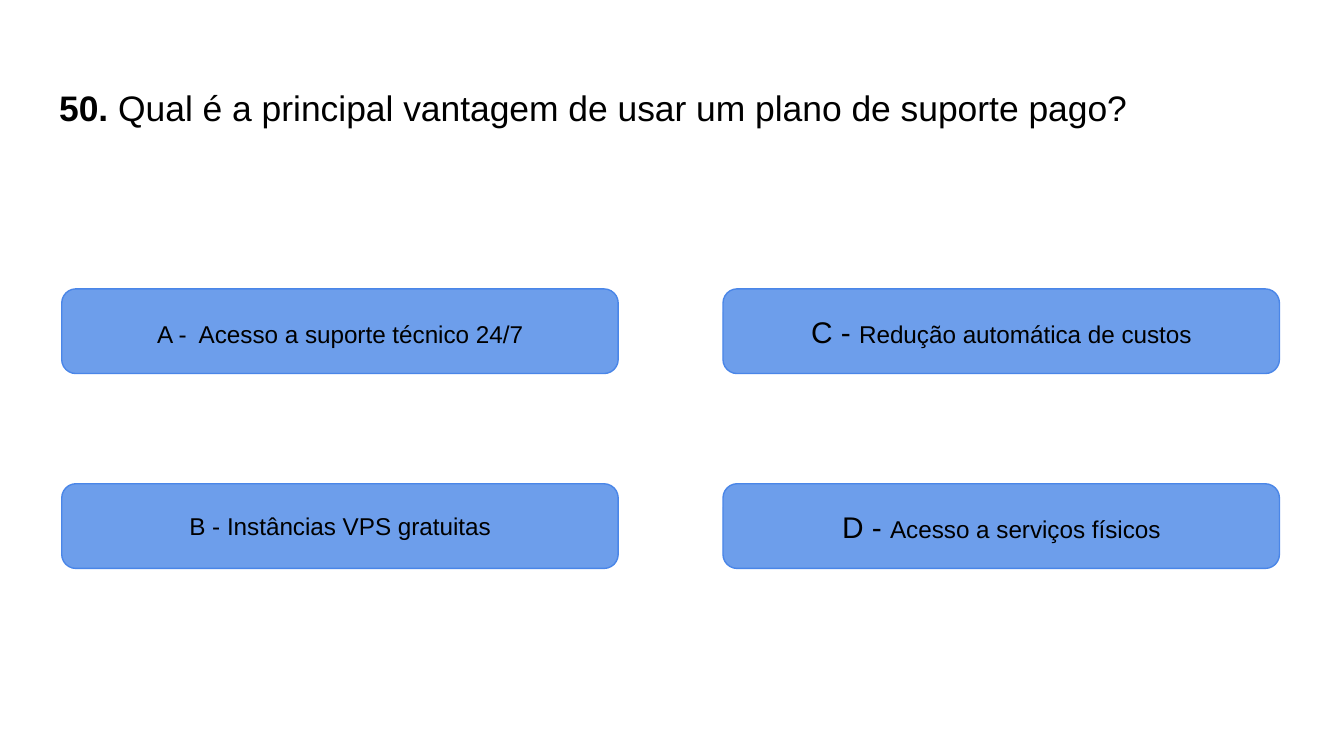
from dataclasses import dataclass

from pptx import Presentation
from pptx.dml.color import RGBColor
from pptx.enum.shapes import MSO_SHAPE
from pptx.enum.text import MSO_ANCHOR, MSO_AUTO_SIZE, PP_ALIGN
from pptx.util import Inches, Pt

ROUNDED = MSO_SHAPE.ROUNDED_RECTANGLE
TOP, MIDDLE = MSO_ANCHOR.TOP, MSO_ANCHOR.MIDDLE
LEFT, CENTER = PP_ALIGN.LEFT, PP_ALIGN.CENTER
NO_AUTOFIT = MSO_AUTO_SIZE.NONE


@dataclass(frozen=True)
class Theme:
    font: str = "Arial"
    text: RGBColor = RGBColor(0x00, 0x00, 0x00)
    background: RGBColor = RGBColor(0xFF, 0xFF, 0xFF)
    fill: RGBColor = RGBColor(0x6D, 0x9E, 0xEB)
    line: RGBColor = RGBColor(0x4A, 0x86, 0xE8)
    title_size: int = 19
    letter_size: int = 16
    answer_size: int = 13


THEME = Theme()


@dataclass(frozen=True)
class Answer:
    letter: str
    text: str
    col: int
    row: int
    letter_size: int = THEME.answer_size
    spacing: float = 1.0


ANSWERS = [
    Answer("A -  ", "Acesso a suporte técnico 24/7", 0, 0, spacing=1.15),
    Answer("B - ", "Instâncias VPS gratuitas", 0, 1),
    Answer("C - ", "Redução automática de custos", 1, 0, THEME.letter_size),
    Answer("D - ", "Acesso a serviços físicos", 1, 1, THEME.letter_size),
]

# Slide in 16:9 and answer grid, in inches
SLIDE_WIDTH = 10
SLIDE_HEIGHT = SLIDE_WIDTH * 9 / 16
GRID_LEFT, GRID_TOP = 0.46, 2.15
COL_STEP, ROW_STEP = 4.92, 1.45
BOX_WIDTH, BOX_HEIGHT = 4.14, 0.63


def add_run(p, text: str, *, size: int, bold: bool = False) -> None:
    r = p.add_run()
    r.text = text
    r.font.name = THEME.font
    r.font.size = Pt(size)
    r.font.bold = bold
    r.font.color.rgb = THEME.text


def format_frame(tf, *, anchor, align, spacing: float):
    """Set up the text frame and return its first paragraph."""
    tf.word_wrap = True
    tf.auto_size = NO_AUTOFIT
    tf.vertical_anchor = anchor
    tf.margin_left = tf.margin_right = Inches(0.1)
    tf.margin_top = tf.margin_bottom = Inches(0.1)
    p = tf.paragraphs[0]
    p.alignment = align
    p.line_spacing = spacing
    p.space_before = Pt(0)
    return p


def add_title(s, number: str, question: str) -> None:
    sp = s.shapes.title
    sp.left, sp.top = Inches(0.34), Inches(0.49)
    sp.width, sp.height = Inches(9.32), Inches(0.63)
    p = format_frame(sp.text_frame, anchor=TOP, align=LEFT, spacing=1.15)
    add_run(p, number, size=THEME.title_size, bold=True)
    add_run(p, question, size=THEME.title_size)


def add_answer(s, answer: Answer) -> None:
    sp = s.shapes.add_shape(
        ROUNDED,
        Inches(GRID_LEFT + answer.col * COL_STEP),
        Inches(GRID_TOP + answer.row * ROW_STEP),
        Inches(BOX_WIDTH),
        Inches(BOX_HEIGHT),
    )
    sp.shadow.inherit = False
    sp.fill.solid()
    sp.fill.fore_color.rgb = THEME.fill
    sp.line.color.rgb = THEME.line
    sp.line.width = Pt(0.75)
    p = format_frame(sp.text_frame, anchor=MIDDLE, align=CENTER,
                     spacing=answer.spacing)
    add_run(p, answer.letter, size=answer.letter_size)
    add_run(p, answer.text, size=THEME.answer_size)


def main() -> None:
    prs = Presentation()
    prs.slide_width = Inches(SLIDE_WIDTH)
    prs.slide_height = Inches(SLIDE_HEIGHT)
    s = prs.slides.add_slide(prs.slide_layouts[5])
    s.background.fill.solid()
    s.background.fill.fore_color.rgb = THEME.background

    # Question
    add_title(s, "50. ",
              "Qual é a principal vantagem de usar um plano de suporte pago?")

    # Answer boxes
    for answer in ANSWERS:
        add_answer(s, answer)

    prs.save("out.pptx")


if __name__ == "__main__":
    main()
